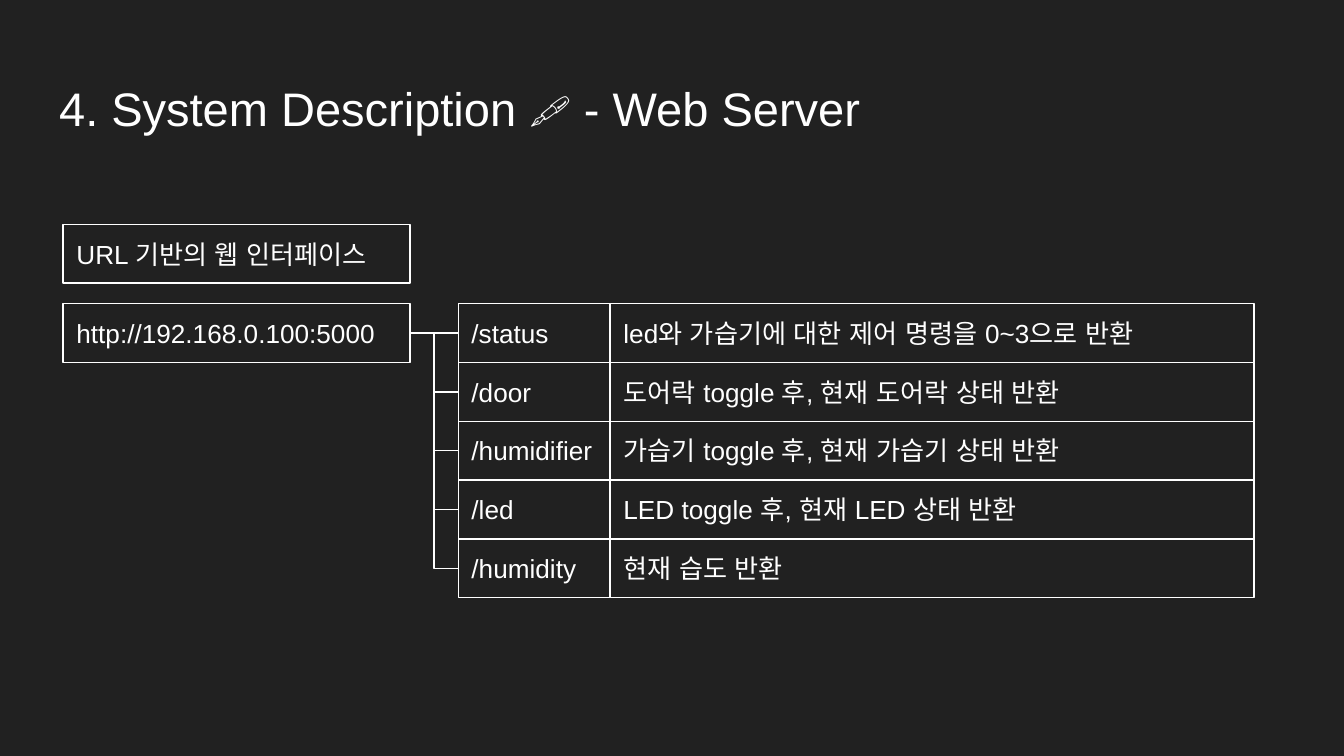
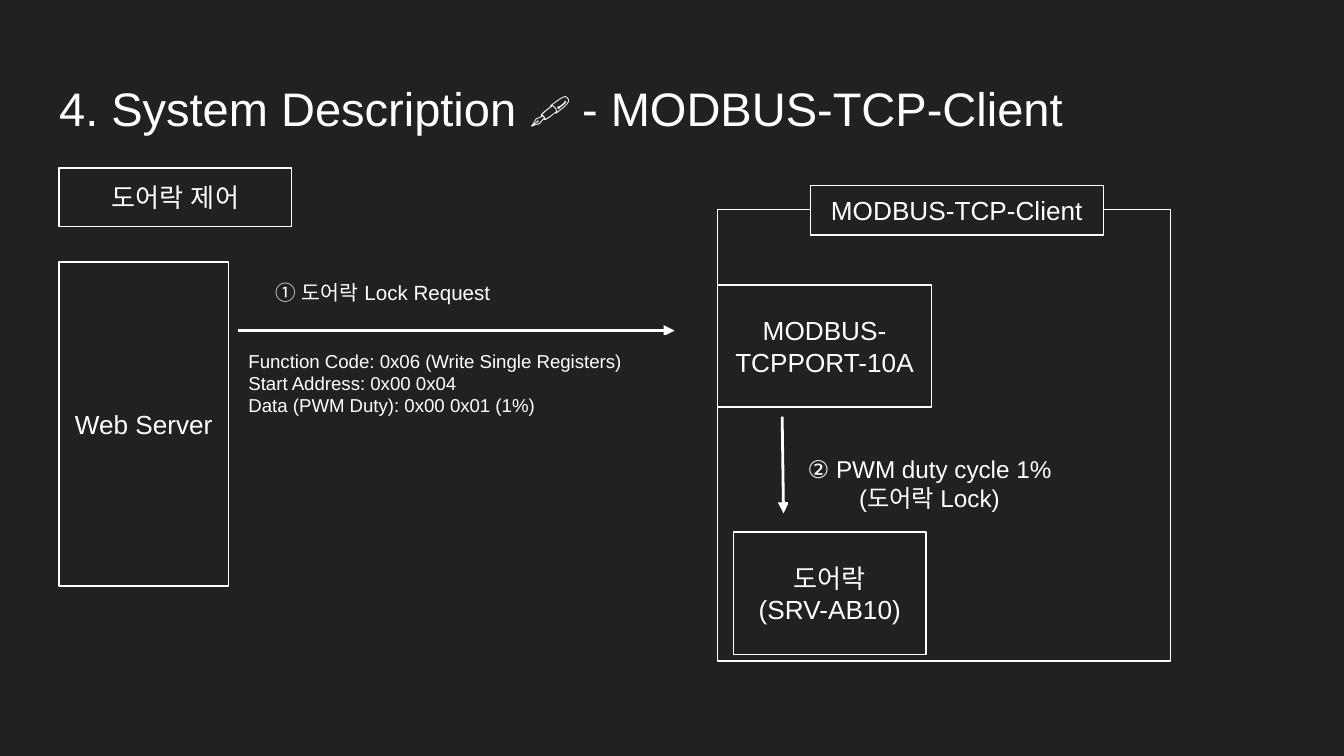
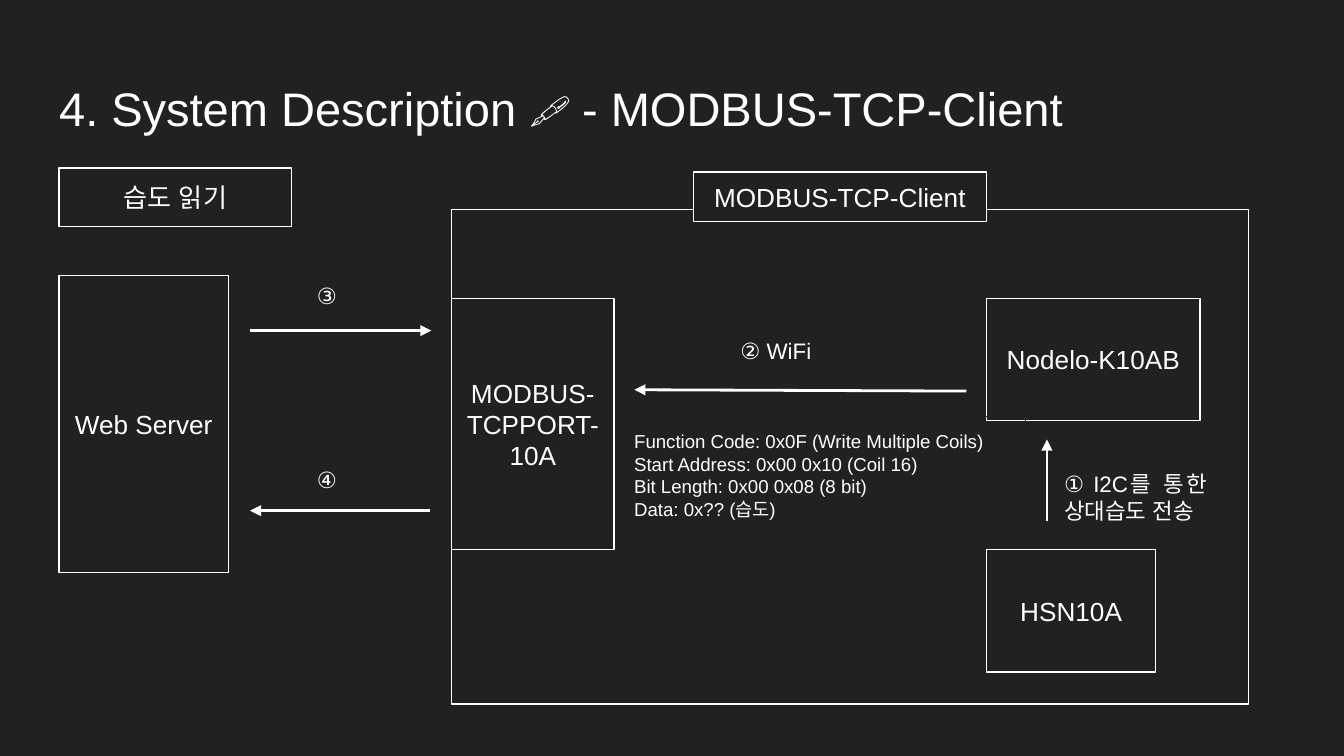
from lxml import etree
from pptx import Presentation
from pptx.dml.color import RGBColor
from pptx.enum.shapes import MSO_CONNECTOR, MSO_SHAPE
from pptx.enum.text import MSO_ANCHOR, MSO_AUTO_SIZE, PP_ALIGN
from pptx.oxml.ns import qn
from pptx.util import Inches, Pt

COLORS = {"background": "212121", "foreground": "FFFFFF"}
FONT = "Arial"
INSET = 0.1
ROW_H = 7 / 16
TITLE_ONLY = 5

ENDPOINTS = [
    ("/status", "led와 가습기에 대한 제어 명령을 0~3으로 반환"),
    ("/door", "도어락 toggle 후, 현재 도어락 상태 반환"),
    ("/humidifier", "가습기 toggle 후, 현재 가습기 상태 반환"),
    ("/led", "LED toggle 후, 현재 LED 상태 반환"),
    ("/humidity", "현재 습도 반환"),
]


def rgb(name):
    return RGBColor.from_string(COLORS[name])


def format_run(r, size):
    r.font.name = FONT
    r.font.size = Pt(size)
    r.font.color.rgb = rgb("foreground")
    etree.SubElement(r.font._element, qn("a:ea"), typeface=FONT)


def set_frame(tf, anchor, auto_size):
    tf.word_wrap = True
    tf.vertical_anchor = anchor
    tf.auto_size = auto_size
    tf.margin_left = tf.margin_right = Inches(INSET)
    tf.margin_top = tf.margin_bottom = Inches(INSET)


def add_titled_slide(prs, pen, topic):
    s = prs.slides.add_slide(prs.slide_layouts[TITLE_ONLY])
    title = s.shapes.title
    title.left, title.top = Inches(0.34), Inches(0.49)
    title.width, title.height = Inches(9.32), Inches(0.63)
    set_frame(title.text_frame, MSO_ANCHOR.TOP, MSO_AUTO_SIZE.NONE)
    p = title.text_frame.paragraphs[0]
    p.alignment = PP_ALIGN.LEFT
    for text, size in (("4. System Description ", 25.2), (pen, 21.6), (topic, 25.2)):
        r = p.add_run()
        r.text = text
        format_run(r, size)
    return s


def add_client_slide(prs, heading):
    s = add_titled_slide(prs, "🖋 ", "- MODBUS-TCP-Client")
    add_cell(s, 0.44, 1.25, 1.73, heading, PP_ALIGN.CENTER)
    return s


def add_box(s, x, y, w, h, lines=(), size=14, align=PP_ALIGN.CENTER,
            anchor=MSO_ANCHOR.MIDDLE, line="foreground", fill=None, grow=False):
    sp = s.shapes.add_shape(MSO_SHAPE.RECTANGLE, Inches(x), Inches(y), Inches(w), Inches(h))
    sp.shadow.inherit = False
    if fill:
        sp.fill.solid()
        sp.fill.fore_color.rgb = rgb(fill)
    else:
        sp.fill.background()
    sp.line.color.rgb = rgb(line)
    sp.line.width = Pt(0.75)
    tf = sp.text_frame
    set_frame(tf, anchor, MSO_AUTO_SIZE.SHAPE_TO_FIT_TEXT if grow else MSO_AUTO_SIZE.NONE)
    for i, text in enumerate(lines):
        p = tf.add_paragraph() if i else tf.paragraphs[0]
        p.text = text
        p.alignment = align
        format_run(p.runs[0], size)
    return sp


def add_cell(s, x, y, w, text, align=PP_ALIGN.LEFT):
    """One-line outlined box of the common row height."""
    return add_box(s, x, y, w, ROW_H, [text], align=align, anchor=MSO_ANCHOR.TOP, grow=True)


def add_note(s, x, y, w, h, lines, size, align=PP_ALIGN.JUSTIFY):
    """Caption whose outline blends into the background."""
    return add_box(s, x, y, w, h, lines, size, align, MSO_ANCHOR.TOP, "background", grow=True)


def add_client_label(s, x, y):
    return add_box(s, x, y, 2.18, 0.37, ["MODBUS-TCP-Client"], fill="background")


def add_line(s, kind, start, end, width):
    c = s.shapes.add_connector(kind, *(Inches(v) for v in (*start, *end)))
    c.line.color.rgb = rgb("foreground")
    c.line.width = Pt(width)
    etree.SubElement(c._element.spPr, qn("a:effectLst"))
    return c


def add_arrow(s, start, end):
    c = add_line(s, MSO_CONNECTOR.STRAIGHT, start, end, 1.5)
    etree.SubElement(c.line._get_or_add_ln(), qn("a:tailEnd"), type="triangle")


def add_branch(s, parent, child):
    """Elbow from the right side of parent to the left side of child."""
    c = add_line(s, MSO_CONNECTOR.ELBOW, (0, 0), (0, 0), 0.75)
    c.begin_connect(parent, 3)
    c.end_connect(child, 1)


def build_web_server(prs):
    s = add_titled_slide(prs, "🖋", " - Web Server")
    top = 2.26
    host = add_cell(s, 0.47, top, 2.58, "http://192.168.0.100:5000")
    for i, (route, description) in enumerate(ENDPOINTS):
        y = top + i * ROW_H
        route_cell = add_cell(s, 3.41, y, 1.13, route)
        add_branch(s, host, route_cell)
        add_cell(s, 4.54, y, 4.79, description)
    add_cell(s, 0.47, 1.67, 2.58, "URL 기반의 웹 인터페이스")


def build_door_lock(prs):
    s = add_client_slide(prs, "도어락 제어")
    add_box(s, 5.34, 1.56, 3.37, 3.36)
    add_box(s, 5.34, 2.12, 1.59, 0.91, ["MODBUS-TCPPORT-10A"])
    add_client_label(s, 6.03, 1.38)
    add_box(s, 5.46, 3.96, 1.43, 0.91, ["도어락", "(SRV-AB10)"])
    add_box(s, 0.44, 1.95, 1.26, 2.41, ["Web Server"])
    add_arrow(s, (1.77, 2.46), (5.02, 2.46))
    add_note(s, 1.75, 2.5, 3.28, 0.71, [
        "Function Code: 0x06 (Write Single Registers)",
        "Start Address: 0x00 0x04 ",
        "Data (PWM Duty): 0x00 0x01 (1%)",
    ], 10)
    add_note(s, 1.95, 1.99, 1.86, 0.39, ["① 도어락 Lock Request"], 11)
    add_arrow(s, (5.82, 3.1), (5.83, 3.82))
    add_note(s, 5.87, 3.28, 2.09, 0.64, ["② PWM duty cycle 1%", "(도어락 Lock)"], 13,
             PP_ALIGN.CENTER)


def build_humidity(prs):
    s = add_client_slide(prs, "습도 읽기")
    add_box(s, 3.36, 1.56, 5.93, 3.68)
    add_box(s, 0.44, 2.05, 1.26, 2.21, ["Web Server"])
    add_box(s, 3.36, 2.22, 1.21, 1.87, ["MODBUS-", "TCPPORT-10A"])
    add_client_label(s, 5.16, 1.28)
    add_arrow(s, (3.2, 3.8), (1.86, 3.8))
    add_arrow(s, (1.86, 2.46), (3.21, 2.46))
    add_box(s, 7.34, 2.22, 1.59, 0.91, ["Nodelo-K10AB"])
    add_box(s, 7.34, 4.09, 1.26, 0.91, ["HSN10A"])
    add_arrow(s, (7.79, 3.88), (7.79, 3.27))
    add_note(s, 7.82, 3.4, 1.26, 0.61, ["① I2C를 통한 상대습도 전송"], 12)
    add_arrow(s, (7.19, 2.91), (4.72, 2.9))
    add_note(s, 5.41, 2.41, 0.86, 0.4, ["② WiFi"], 12)
    add_note(s, 4.62, 3.1, 3.01, 0.88, [
        "Function Code: 0x0F (Write Multiple Coils)",
        "Start Address: 0x00 0x10 (Coil 16)",
        "Bit Length: 0x00 0x08 (8 bit)",
        "Data: 0x?? (습도)",
    ], 10)
    for y, number in ((2, "③ "), (3.37, "④")):
        add_note(s, 2.26, y, 0.37, 0.4, [number], 12)


def main():
    prs = Presentation()
    prs.slide_width = Inches(10)
    prs.slide_height = Inches(10 * 9 / 16)
    background = prs.slide_master.background.fill
    background.solid()
    background.fore_color.rgb = rgb("background")
    build_web_server(prs)
    build_door_lock(prs)
    build_humidity(prs)
    prs.save("out.pptx")


if __name__ == "__main__":
    main()
